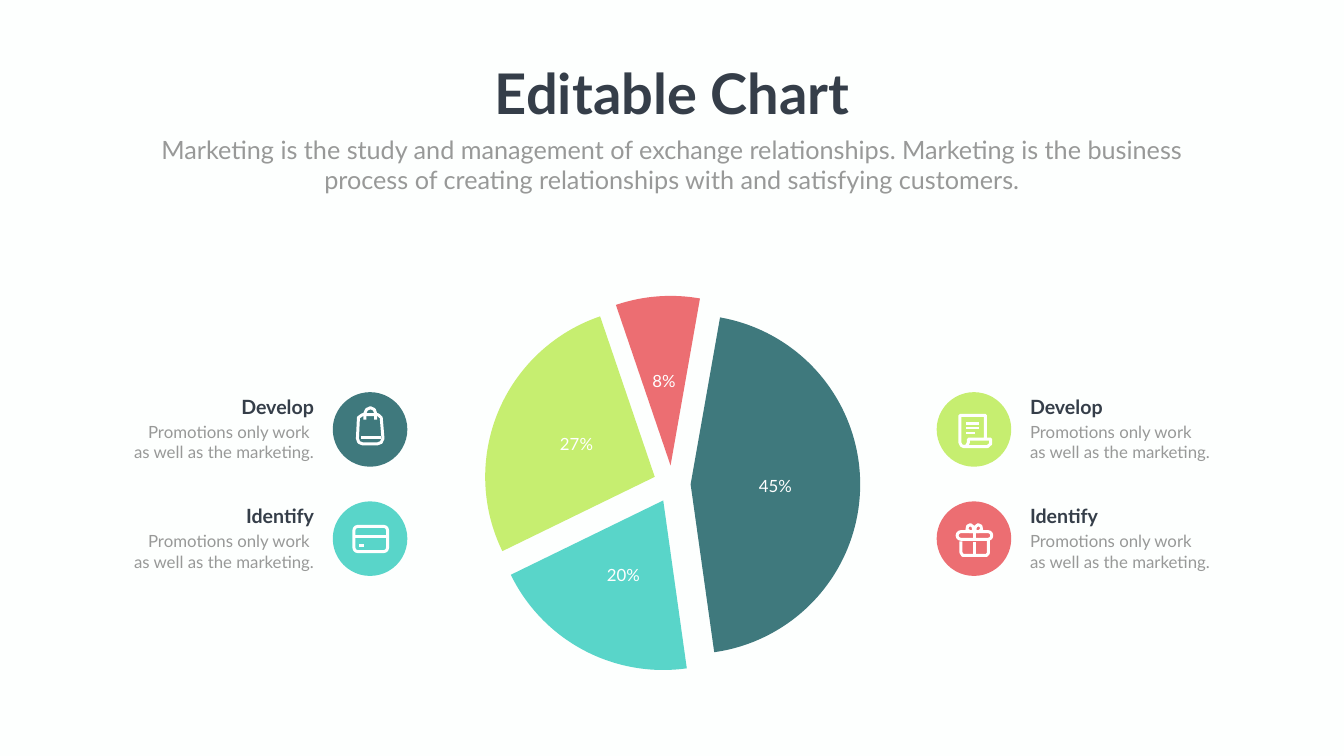
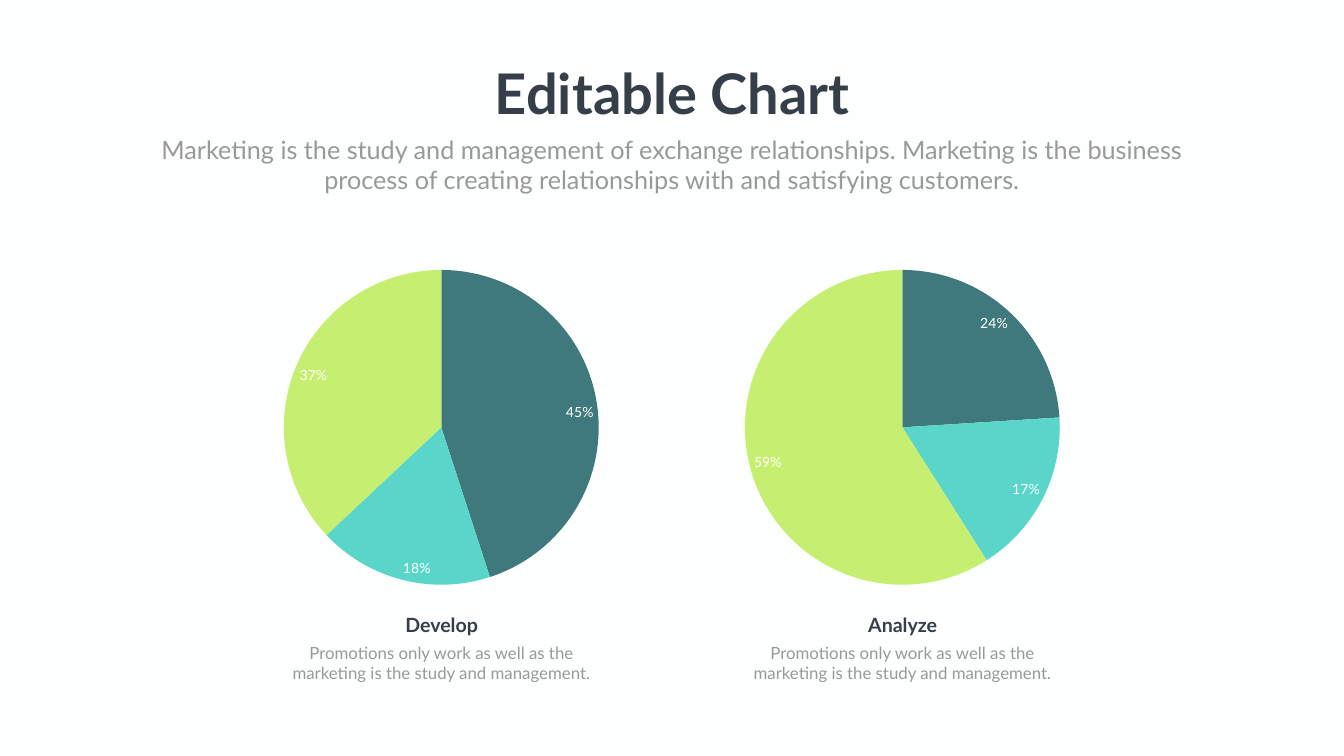
from dataclasses import dataclass

from lxml import etree
from pptx import Presentation
from pptx import util as u
from pptx.chart import data as chart_data
from pptx.dml.color import RGBColor
from pptx.enum import chart as charts, shapes, text
from pptx.oxml import ns


@dataclass(frozen=True)
class Theme:
    font: str = "Lato"
    background: RGBColor = RGBColor.from_string("FDFFFE")
    dark: RGBColor = RGBColor.from_string("353E49")
    gray: RGBColor = RGBColor.from_string("989998")
    white: RGBColor = RGBColor.from_string("FFFFFF")
    teal: RGBColor = RGBColor.from_string("3F797D")
    aqua: RGBColor = RGBColor.from_string("59D5C9")
    lime: RGBColor = RGBColor.from_string("C6EE70")
    coral: RGBColor = RGBColor.from_string("EC6E72")
    title_size: int = 80
    subtitle_size: int = 36
    heading_size: int = 28
    text_size: int = 24
    small_size: int = 20


theme = Theme()
slice_colors = [theme.teal, theme.aqua, theme.lime, theme.coral]
align = text.PP_ALIGN


def write(shape, lines, size, color, alignment, bold=False, wrap=True):
    frame = shape.text_frame
    frame.word_wrap = wrap
    frame.auto_size = text.MSO_AUTO_SIZE.NONE
    frame.vertical_anchor = text.MSO_ANCHOR.TOP
    for index, line in enumerate(lines):
        paragraph = frame.add_paragraph() if index else frame.paragraphs[0]
        paragraph.text = line
        paragraph.alignment = alignment
        paragraph.space_before = u.Pt(0)
        paragraph.font.name = theme.font
        paragraph.font.size = u.Pt(size)
        paragraph.font.bold = bold
        paragraph.font.color.rgb = color


def add_pie(slide, box, values, size, position, explosion=0, start_angle=0):
    data = chart_data.CategoryChartData()
    data.categories = [str(number + 1) for number in range(len(values))]
    data.add_series("Series 1", values)
    chart = slide.shapes.add_chart(
        charts.XL_CHART_TYPE.PIE, *map(u.Pt, box), data).chart
    chart.has_legend = False
    chart.has_title = False
    chart.font.name = theme.font
    chart.font.size = u.Pt(size)
    chart.font.color.rgb = theme.white
    plot = chart.plots[0]
    plot.vary_by_categories = True
    series = plot.series[0]
    if explosion:
        element = etree.Element(ns.qn("c:explosion"), val=str(explosion))
        series._element.find(ns.qn("c:cat")).addprevious(element)
    for index in range(len(values)):
        point = series.points[index]
        point.format.fill.solid()
        point.format.fill.fore_color.rgb = slice_colors[index]
        point.format.line.fill.background()
    labels = series.data_labels
    labels.show_percentage = True
    labels.show_value = False
    labels.number_format = "0%"
    labels.number_format_is_linked = False
    labels.position = position
    labels.font.name = theme.font
    labels.font.size = u.Pt(size)
    labels.font.color.rgb = theme.white
    if start_angle:
        etree.SubElement(plot._element, ns.qn("c:firstSliceAng"), val=str(start_angle))


presentation = Presentation()
presentation.slide_width = u.Pt(1919.52)
presentation.slide_height = u.Pt(1080)
master_fill = presentation.slide_master.background.fill
master_fill.solid()
master_fill.fore_color.rgb = theme.background

layout = presentation.slide_layouts[1]
header_boxes = [(695, 80.5, 530.5, 104.5), (210, 188, 1499, 94.5)]
for placeholder, box in zip(layout.placeholders, header_boxes):
    placeholder.left, placeholder.top, placeholder.width, placeholder.height = map(u.Pt, box)

slides = []
for number in range(2):
    slide = presentation.slides.add_slide(layout)
    write(slide.shapes.title, ["Editable Chart"], theme.title_size, theme.dark,
          align.CENTER, bold=True, wrap=False)
    subtitle = slide.placeholders[1]
    properties = subtitle.text_frame.paragraphs[0]._p.get_or_add_pPr()
    properties.set("marL", "0")
    properties.set("indent", "0")
    etree.SubElement(properties, ns.qn("a:buNone"))
    write(subtitle, [
        "Marketing is the study and management of exchange relationships. "
        "Marketing is the business process of creating relationships with "
        "and satisfying customers."], theme.subtitle_size, theme.gray, align.CENTER)
    slides.append(slide)
exploded_slide, pair_slide = slides

add_pie(exploded_slide, (681, 411, 557.5, 561), [45, 20, 27, 8], theme.text_size,
        charts.XL_LABEL_POSITION.CENTER, explosion=11, start_angle=10)

bow = [(-0.5, -10), (-6, -10), (-10, -13), (-9, -18), (-5, -20), (-1, -17)]
icons = {
    "bag": {
        "outlines": [
            ([(-11, -21), (11.5, -21), (16, -17), (18.5, 13), (16, 18.5), (11, 20.5),
              (-11, 20.5), (-16, 18.5), (-18, 13), (-16.5, -17)], True),
            ([(-7.5, -14), (-7.5, -23), (-5, -28.5), (0.5, -31), (6, -28.5),
              (8, -23), (8, -14)], False)],
        "lines": [(-12.5, 11.5, 16, 11.5)],
    },
    "card": {
        "boxes": [(-23, -17.5, 48, 36)],
        "lines": [(-22.5, -3, 25, -3), (-16, 9.5, -8, 9.5)],
    },
    "scroll": {
        "outlines": [
            ([(16.5, 13), (16.5, -20), (-20, -20), (-20, 19), (-18, 23), (-14.5, 24.5),
              (19.5, 24.5), (24, 20.5), (24, 14), (-8, 14), (-8, 19), (-10.5, 23.5),
              (-14.5, 24.5)], False)],
        "lines": [(-11.5, -8.5, 7.5, -8.5), (-11.5, -1.5, 7.5, -1.5), (-11.5, 4.5, 1, 4.5)],
    },
    "gift": {
        "boxes": [(-24, -10, 49.5, 11)],
        "outlines": [
            (bow, True),
            ([(1 - x, y) for x, y in bow], True),
            ([(-18.5, 4), (-18.5, 20), (-16, 24), (18, 24), (20.5, 21), (20.5, 1)], False)],
        "lines": [(0.5, -10, 0.5, 1), (0.5, 5.5, 0.5, 23)],
    },
}

diameter = 106.5
left_center, right_center = 528.5, 1391
first_row, second_row = 613.5, 769.5
left_edge, right_edge = 455.5, 1464
items = [
    ("Develop", "scroll", theme.lime, right_center, first_row),
    ("Identify", "gift", theme.coral, right_center, second_row),
    ("Develop", "bag", theme.teal, left_center, first_row),
    ("Identify", "card", theme.aqua, left_center, second_row),
]
for heading, icon_name, color, center_x, center_y in items:
    top = center_y - diameter / 2
    circle = exploded_slide.shapes.add_shape(
        shapes.MSO_SHAPE.OVAL, u.Pt(center_x - diameter / 2), u.Pt(top),
        u.Pt(diameter), u.Pt(diameter))
    circle.shadow.inherit = False
    circle.fill.solid()
    circle.fill.fore_color.rgb = color
    circle.line.fill.background()

    on_left = center_x == left_center
    alignment = align.RIGHT if on_left else align.LEFT
    first_line = "Promotions only work " if on_left else "Promotions only work"
    labels = [
        ([heading], 0, 158.5, 41, theme.heading_size, theme.dark, True),
        ([first_line, "as well as the marketing."], 39, 281, 65.5,
         theme.text_size, theme.gray, False),
    ]
    for lines, offset, width, height, size, text_color, bold in labels:
        left = left_edge - width if on_left else right_edge
        label = exploded_slide.shapes.add_textbox(
            u.Pt(left), u.Pt(top + offset), u.Pt(width), u.Pt(height))
        write(label, lines, size, text_color, alignment, bold)

    icon = icons[icon_name]
    strokes = []
    for x, y, width, height in icon.get("boxes", []):
        frame = exploded_slide.shapes.add_shape(
            shapes.MSO_SHAPE.ROUNDED_RECTANGLE, u.Pt(center_x + x), u.Pt(center_y + y),
            u.Pt(width), u.Pt(height))
        frame.adjustments[0] = 5.5 / height
        strokes.append(frame)
    for points, closed in icon.get("outlines", []):
        corners = [(u.Pt(center_x + x), u.Pt(center_y + y)) for x, y in points]
        builder = exploded_slide.shapes.build_freeform(*corners[0])
        builder.add_line_segments(corners[1:], close=closed)
        strokes.append(builder.convert_to_shape())
    for stroke in strokes:
        stroke.shadow.inherit = False
        stroke.fill.background()
        stroke.line.color.rgb = theme.white
        stroke.line.width = u.Pt(4.25)
    for start_x, start_y, end_x, end_y in icon["lines"]:
        line = exploded_slide.shapes.add_connector(
            shapes.MSO_CONNECTOR.STRAIGHT,
            u.Pt(center_x + start_x), u.Pt(center_y + start_y),
            u.Pt(center_x + end_x), u.Pt(center_y + end_y))
        line.line.color.rgb = theme.white
        line.line.width = u.Pt(3 if icon_name == "scroll" else 3.75)
        etree.SubElement(line._element.spPr, ns.qn("a:effectLst"))

column_step = 658.5
columns = [("Develop", [45, 18, 37]), ("Analyze", [24, 17, 59])]
for index, (heading, values) in enumerate(columns):
    shift = index * column_step
    add_pie(pair_slide, (395.5 + shift, 375, 469.5, 471), values, theme.small_size,
            charts.XL_LABEL_POSITION.INSIDE_END)
    description = pair_slide.shapes.add_textbox(
        u.Pt(381.5 + shift), u.Pt(914.5), u.Pt(497.5), u.Pt(65.5))
    write(description, [
        "Promotions only work as well as the marketing is the study and management."],
        theme.text_size, theme.gray, align.CENTER)
    caption = pair_slide.shapes.add_textbox(
        u.Pt(551.5 + shift), u.Pt(872.5), u.Pt(158.5), u.Pt(41))
    write(caption, [heading], theme.heading_size, theme.dark, align.CENTER, bold=True)

presentation.save("out.pptx")
